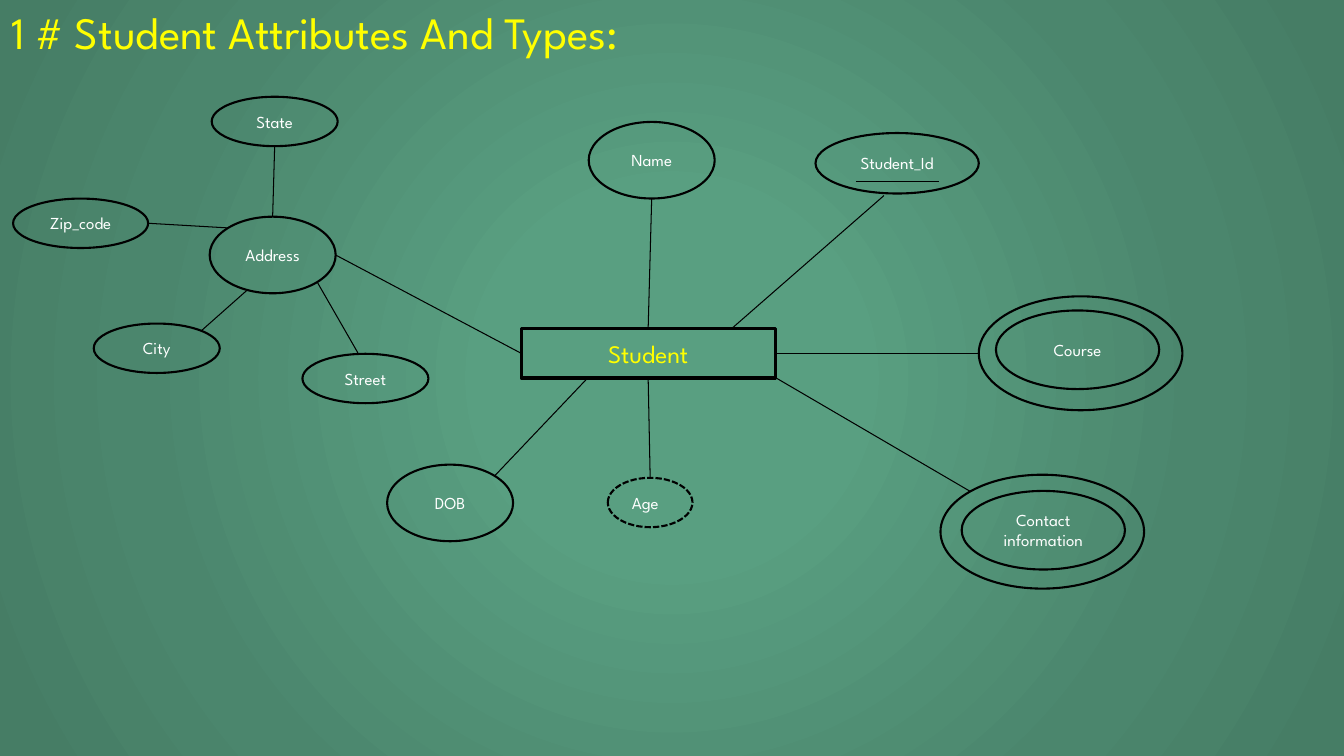
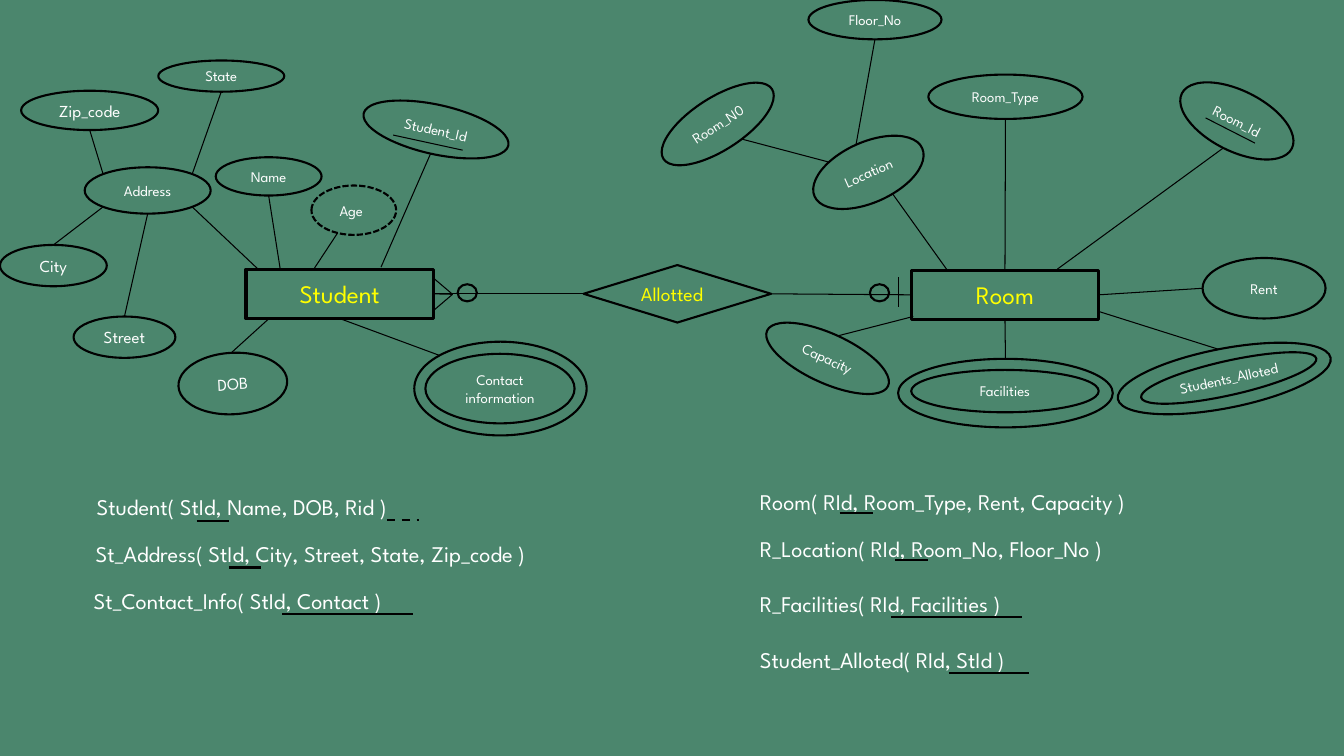
import math

import pptx
import pptx.dml.color
import pptx.enum.dml
import pptx.enum.shapes
import pptx.enum.text
import pptx.oxml
import pptx.oxml.ns
import pptx.util

COLORS = {
    "ink": "000000",
    "label": "FFFFFF",
    "accent": "FFFF00",
    "board": "4B866D",
    "glow": "599F81",
    "edge": "467D65",
}
FONT = "League Spartan"

# The slide is a grid of square cells: 133.33 columns by 75 rows
COLUMNS, ROWS = 133.33, 75
CELL = pptx.util.Inches(0.1)

SHAPE = pptx.enum.shapes.MSO_SHAPE
DASH = pptx.enum.dml.MSO_LINE
ANCHOR = pptx.enum.text.MSO_ANCHOR
ALIGN = pptx.enum.text.PP_ALIGN

# Joining points of a rectangle or diamond, and compass angles on an ellipse
TOP, LEFT, BOTTOM, RIGHT = range(4)
COMPASS = {"E": 0, "SE": 45, "S": 90, "SW": 135,
           "W": 180, "NW": 225, "N": 270, "NE": 315}


def cells(*counts):
    return [pptx.util.Emu(round(count * CELL)) for count in counts]


def rgb(name):
    return pptx.dml.color.RGBColor.from_string(COLORS[name])


# Text
def write(frame, text, size, color, align=ALIGN.LEFT, anchor=ANCHOR.TOP, wrap=True):
    frame.word_wrap = wrap
    frame.vertical_anchor = anchor
    paragraph = frame.paragraphs[0]
    paragraph.alignment = align
    run = paragraph.add_run()
    run.text = text
    run.font.name = FONT
    run.font.size = pptx.util.Pt(size)
    run.font.color.rgb = rgb(color)


def caption(slide, text, box, size, color="label", wrap=True):
    write(slide.shapes.add_textbox(*cells(*box)).text_frame, text, size, color, wrap=wrap)


def headline(slide, text):
    title = slide.shapes.title
    title.left, title.top, title.width, title.height = cells(0.1, 0, 73.9, 6.4)
    write(title.text_frame, text, 32, "accent")


# Diagram parts
def outline(slide, kind, box, weight=1.5, dash=None, turn=0):
    part = slide.shapes.add_shape(kind, *cells(*box))
    part.shadow.inherit = False
    part.fill.background()
    part.line.color.rgb = rgb("ink")
    part.line.width = pptx.util.Pt(weight)
    part.line.dash_style = dash
    part.rotation = turn
    return part


def entity(slide, text, box):
    part = outline(slide, SHAPE.RECTANGLE, box, weight=2.25)
    write(part.text_frame, text, 18, "accent", ALIGN.CENTER, ANCHOR.MIDDLE)
    return part


def attribute(slide, text, box, size=12, turn=0):
    part = outline(slide, SHAPE.OVAL, box, turn=turn)
    write(part.text_frame, text, size, "label", ALIGN.CENTER, ANCHOR.MIDDLE)
    return part


def attributes(slide, rows):
    return {row[0]: attribute(slide, *row) for row in rows}


def ring(slide, box, turn=0):
    """Second outline of a multivalued attribute."""
    return outline(slide, SHAPE.OVAL, box, turn=turn)


def derived(slide, text, box, text_box, size):
    part = outline(slide, SHAPE.OVAL, box, dash=DASH.SQUARE_DOT)
    part.line._get_or_add_ln().find(pptx.oxml.ns.qn("a:prstDash")).set("val", "sysDash")
    caption(slide, text, text_box, size, wrap=False)
    return part


# Lines: an end is a grid point, (ellipse, compass) or (rectangle, joining point)
def rim(ellipse, compass):
    angle, turn = math.radians(COMPASS[compass]), math.radians(ellipse.rotation)
    across = ellipse.width / 2 * math.cos(angle)
    down = ellipse.height / 2 * math.sin(angle)
    x = ellipse.left + ellipse.width / 2 + across * math.cos(turn) - down * math.sin(turn)
    y = ellipse.top + ellipse.height / 2 + across * math.sin(turn) + down * math.cos(turn)
    return round(x), round(y)


def place(end):
    owner, spot = end
    if isinstance(owner, (int, float)):
        return cells(owner, spot)
    if spot in COMPASS:
        return rim(owner, spot)
    return owner.left, owner.top


def link(slide, start, end, weight=0.75, dash=None):
    line = slide.shapes.add_connector(
        pptx.enum.shapes.MSO_CONNECTOR.STRAIGHT, *place(start), *place(end))
    line.line.color.rgb = rgb("ink")
    line.line.width = pptx.util.Pt(weight)
    line.line.dash_style = dash
    line._element.spPr.append(pptx.oxml.parse_xml(
        f"<a:effectLst {pptx.oxml.ns.nsdecls('a')}/>"))
    for (owner, spot), join in ((start, line.begin_connect), (end, line.end_connect)):
        if not isinstance(owner, (int, float)) and spot not in COMPASS:
            join(owner, spot)


def links(slide, pairs):
    for start, end in pairs:
        link(slide, start, end)


def underline(slide, left, right, row, dash=None):
    link(slide, (left, row), (right, row), 1.5, dash)


# Backgrounds
def radial_background(slide):
    fill = slide.background.fill
    fill.gradient()
    stops = "".join(
        f'<a:gs pos="{share * 1000}"><a:srgbClr val="{COLORS[name]}"/></a:gs>'
        for share, name in ((0, "glow"), (23, "glow"), (69, "board"), (97, "edge")))
    radial = pptx.oxml.parse_xml(
        f'<a:gradFill {pptx.oxml.ns.nsdecls("a")} rotWithShape="1">'
        f'<a:gsLst>{stops}</a:gsLst><a:path path="circle">'
        '<a:fillToRect l="50000" t="50000" r="50000" b="50000"/></a:path></a:gradFill>')
    plain = slide.background._cSld.find(".//" + pptx.oxml.ns.qn("a:gradFill"))
    plain.getparent().replace(plain, radial)


def plain_background(slide):
    slide.background.fill.solid()
    slide.background.fill.fore_color.rgb = rgb("board")


# Slides
def student_slide(slide):
    radial_background(slide)
    headline(slide, "1 # Student Attributes And Types:")
    student = entity(slide, "Student", (51.7, 32.6, 25.2, 4.9))
    of = attributes(slide, [
        ("Name", (58.4, 12.1, 12.5, 7.6)),
        ("DOB", (38.4, 46.1, 12.5, 7.6)),
        ("Address", (20.8, 21.5, 12.5, 7.6)),
        ("Zip_code", (1.3, 19.7, 13.4, 4.9)),
        ("Street", (30, 35.1, 12.5, 4.9)),
        ("State", (21, 9.6, 12.5, 4.9)),
        ("City", (9.3, 32.1, 12.5, 4.9)),
        ("Student_Id", (80.9, 13.2, 16.2, 6)),
        ("Course", (98.8, 30.8, 16.2, 7.8)),
        ("Contact information", (95.4, 48.7, 16.2, 7.8)),
    ])
    course = ring(slide, (97.1, 29.4, 20.2, 11.3))
    contact = ring(slide, (93.3, 47.1, 20.2, 11.3))
    age = derived(slide, "Age", (60.3, 47.4, 8.4, 4.9), (61.7, 48.4, 5.5, 3), 12)
    address = of["Address"]
    links(slide, [
        ((of["Name"], "S"), (student, TOP)),
        ((address, "E"), (student, LEFT)),
        ((age, "N"), (student, BOTTOM)),
        ((course, "W"), (student, RIGHT)),
        ((87.7, 19.4), (72.7, 32.5)),
        ((contact, "NW"), (77, 37.5)),
        ((of["DOB"], "NE"), (58.3, 37.5)),
        ((address, "NW"), (of["Zip_code"], "E")),
        ((35.5, 35), (address, "SE")),
        ((of["State"], "S"), (address, "N")),
        ((of["City"], "NE"), (24.5, 28.8)),
        ((84.9, 18), (93.2, 18)),  # key underline
    ])


def student_side(slide):
    student = entity(slide, "Student", (24.4, 26.7, 18.6, 4.9))
    of = attributes(slide, [
        ("Name", (21.4, 15.6, 10.5, 3.8), 10.5),
        ("Student_Id", (35.9, 10.4, 14.7, 4.9), 10.5, 12.5),
        ("Contact information", (42.2, 35.1, 14.8, 6.9), 10.5),
        ("DOB", (17.7, 35, 10.8, 6.1), 12, 357),
        ("Address", (8.4, 16.6, 12.5, 4.6), 10.5),
        ("Zip_code", (2.1, 9, 13.6, 3.9)),
        ("Street", (7.3, 31.4, 10.1, 4.1)),
        ("State", (15.7, 6, 12.5, 3.1), 10.5),
        ("City", (0, 24.3, 10.6, 4.1)),
    ])
    contact = ring(slide, (41.1, 33.9, 17.1, 9.3))
    derived(slide, "Age", (30.9, 18.4, 8.4, 4.9), (32.7, 19.5, 5.2, 2.9), 10.5)
    address = of["Address"]
    links(slide, [
        ((of["Student_Id"], "S"), (37.8, 26.5)),
        ((of["Name"], "S"), (27.8, 26.7)),
        ((contact, "NW"), (student, BOTTOM)),
        ((of["DOB"], "N"), (26.8, 31.5)),
        ((31.2, 26.6), (33.5, 23.1)),
        ((address, "SE"), (25.6, 26.7)),
        ((address, "NW"), (of["Zip_code"], "S")),
        ((of["Street"], "N"), (address, "S")),
        ((of["State"], "S"), (address, "NE")),
        ((of["City"], "N"), (address, "SW")),
        ((39, 13.4), (45.9, 14.9)),  # key underline
    ])
    return student


def room_side(slide):
    room = entity(slide, "Room", (90.4, 26.8, 18.6, 4.9))
    of = attributes(slide, [
        ("Room_Id", (116.6, 9, 12.2, 6), 10.5, 26.6),
        ("Room_Type", (92.1, 7.4, 15.3, 4.4), 10.5),
        ("Students_Alloted", (113, 35.8, 17.8, 3.4), 10.5, 347.4),
        ("Facilities", (90.4, 36.7, 18.6, 4.2), 10.5),
        ("Capacity", (75.5, 33.1, 13.2, 4.9), 10.5, 24.6),
        ("Location", (80.3, 14.1, 11.7, 6), 10.5, 335.9),
        ("Room_N0", (64.8, 9.7, 12.8, 5.2), 10.5, 327.2),
        ("Floor_No", (80.2, 0, 13.2, 3.9), 10.5),
        ("Rent", (119.3, 25.6, 12.2, 6), 10.5),
    ])
    alloted = ring(slide, (110.7, 34.6, 21.5, 5.9), 349)
    facilities = ring(slide, (89.1, 35.6, 21.3, 6.8))
    links(slide, [
        ((of["Room_Id"], "S"), (104.9, 26.7)),
        ((of["Room_Type"], "S"), (room, TOP)),
        ((alloted, "N"), (109, 30.9)),
        ((facilities, "N"), (room, BOTTOM)),
        ((of["Capacity"], "N"), (90.6, 31.4)),
        ((88.6, 19.3), (93.9, 26.7)),
        ((82.3, 16.1), (73.6, 13.8)),
        ((of["Floor_No"], "S"), (of["Location"], "N")),
        ((of["Rent"], "W"), (room, RIGHT)),
        ((119.6, 11.7), (124.5, 14.2)),  # key underline
    ])
    return room


def relationship(slide, student, room):
    allotted = outline(slide, SHAPE.FLOWCHART_DECISION, (57.9, 26.3, 18.6, 5.7))
    caption(slide, "Allotted", (62.6, 27.5, 9.5, 3.4), 14, "accent", wrap=False)
    for left in (45.4, 86.3):
        outline(slide, SHAPE.FLOWCHART_CONNECTOR, (left, 28.2, 1.9, 1.7))
    links(slide, [
        ((allotted, LEFT), (student, RIGHT)),
        ((room, LEFT), (allotted, RIGHT)),
        ((89.1, 27.5), (89.1, 30.5)),  # "one" bar
        ((44.9, 29.2), (student, RIGHT)),  # "many" foot
        ((44.9, 29.2), (42.9, 27.5)),
        ((44.9, 29.2), (42.9, 30.9)),
    ])


def schema(slide):
    # Table text, its left and top, then the underline: left, right, row
    for text, left, top, *key in [
        ("Student( StId, Name, DOB, Rid )", 8.6, 48.4, 19.5, 22.7, 51.7),
        ("St_Address( StId, City, Street, State, Zip_code )", 8.5, 53.1, 22.7, 25.9, 56.3),
        ("St_Contact_Info( StId, Contact )", 8.3, 57.8, 28, 41, 60.9),
        ("Room( RId, Room_Type, Rent, Capacity )", 74.4, 47.9, 83.3, 86.6, 50.9),
        ("R_Location( RId, Room_No, Floor_No )", 74.4, 52.6, 88.8, 92.1, 55.6),
        ("R_Facilities( RId, Facilities )", 74.4, 58.1, 88.4, 101.4, 61.2),
        ("Student_Alloted( RId, StId )", 74.4, 63.6, 94.1, 102.1, 66.8),
    ]:
        caption(slide, text, (left, top, 54.2, 3.7), 16)
        underline(slide, *key)
    underline(slide, 38.4, 41.6, 51.6, DASH.DASH)  # foreign key


def allotment_slide(slide):
    plain_background(slide)
    relationship(slide, student_side(slide), room_side(slide))
    schema(slide)


def main():
    deck = pptx.Presentation()
    deck.slide_width, deck.slide_height = cells(COLUMNS, ROWS)
    title_only, blank = deck.slide_layouts[5], deck.slide_layouts[6]
    student_slide(deck.slides.add_slide(title_only))
    allotment_slide(deck.slides.add_slide(blank))
    deck.save("out.pptx")


if __name__ == "__main__":
    main()
